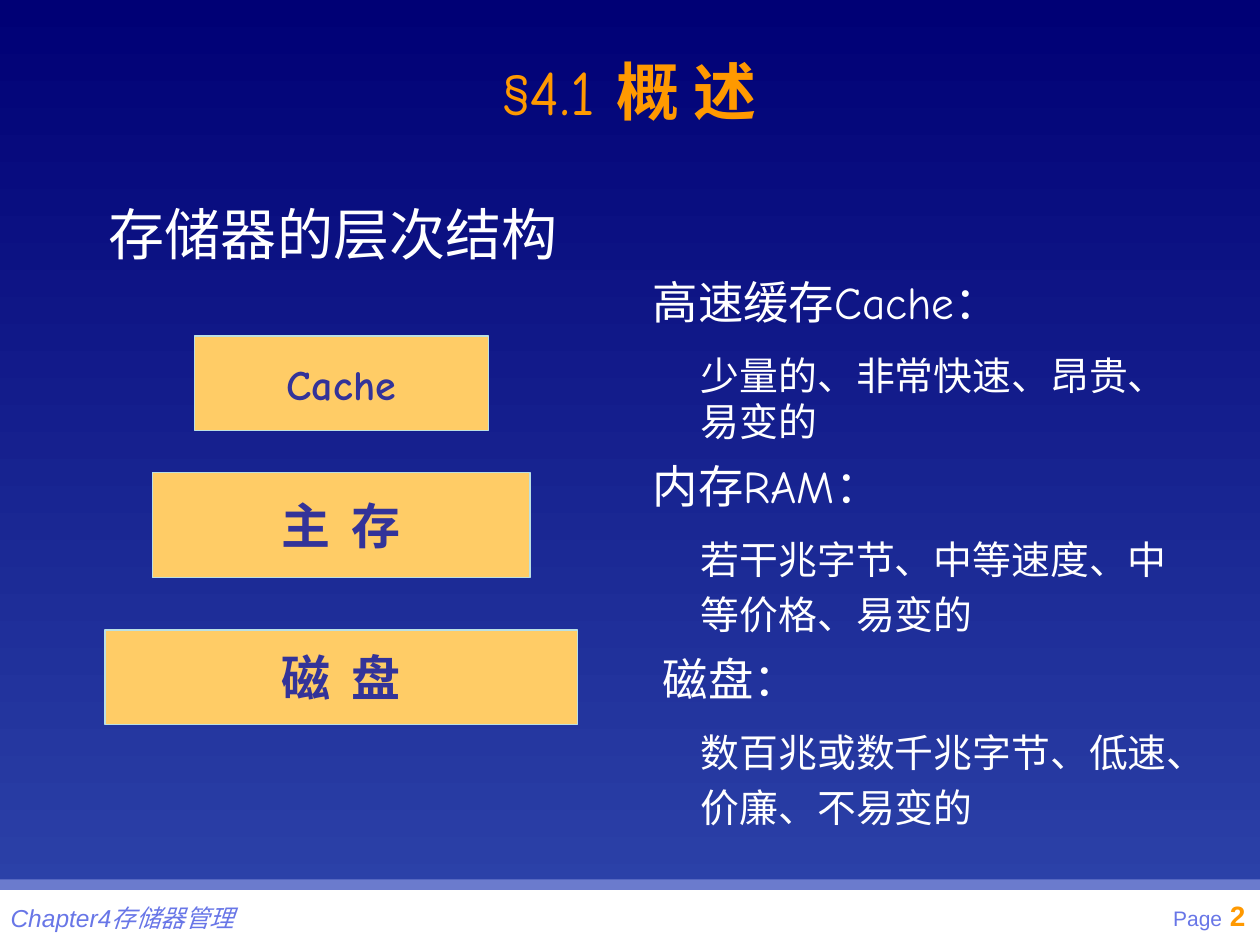
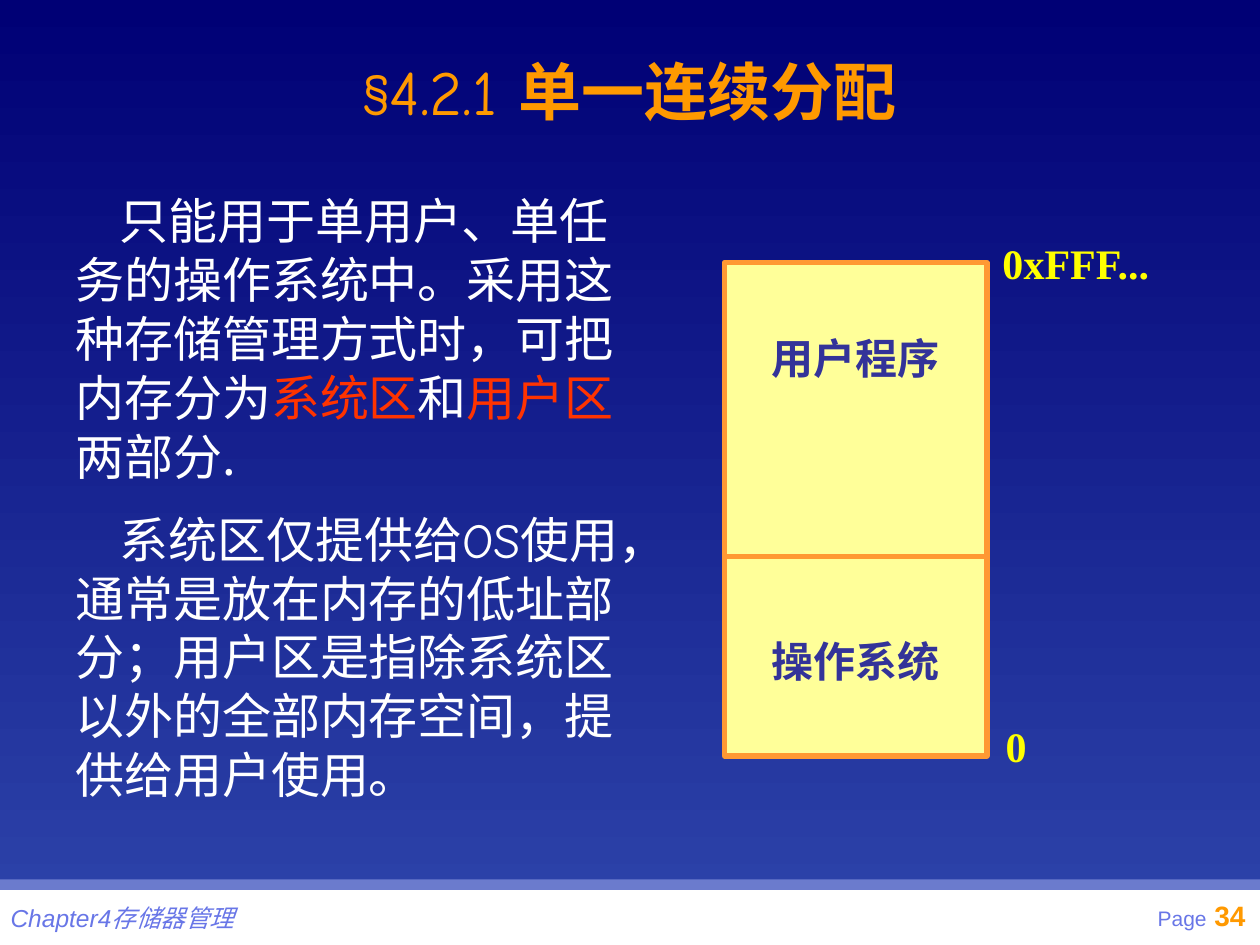
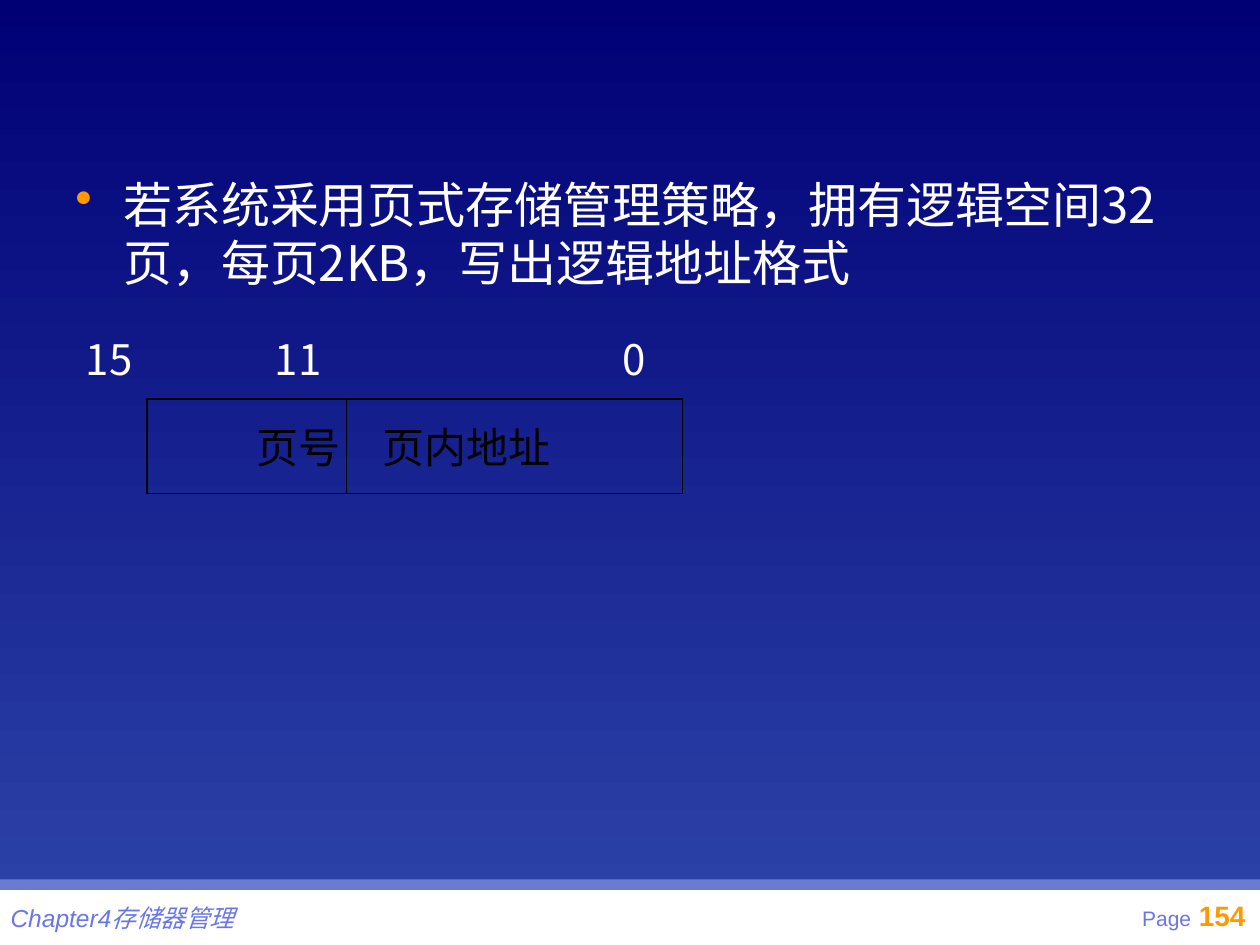
from collections import namedtuple
from dataclasses import dataclass

from pptx import Presentation
from pptx.dml.color import RGBColor
from pptx.enum.shapes import MSO_CONNECTOR as Connector, MSO_SHAPE as Preset
from pptx.enum.text import MSO_ANCHOR as Anchor, PP_ALIGN as Align
from pptx.oxml.ns import qn
from pptx.util import Inches, Pt
from lxml.etree import SubElement, Element


@dataclass(frozen=True)
class Theme:
    # Colours
    sky_top: str = "000075"
    sky_bottom: str = "2E45AB"
    white: str = "FFFFFF"
    black: str = "000000"
    band: str = "6B7BCD"
    footer: str = "6876E7"
    footer_shadow: str = "808080"
    accent: str = "FF9900"
    warning: str = "FF3300"
    ink: str = "333399"
    level_fill: str = "FFCC66"
    level_line: str = "BBE0E3"
    memory_fill: str = "FFFF99"
    memory_line: str = "FF9933"
    address: str = "FFFF00"
    # Fonts
    cjk: str = "Noto Sans CJK SC"
    comic: str = "Comic Neue"
    sans: str = "Arial"
    serif: str = "Times New Roman"
    # Type sizes
    title: float = 36
    heading: float = 32
    body: float = 28
    term: float = 25.9
    detail: float = 22.2
    label: float = 24
    number: float = 16
    chapter: float = 14
    page: float = 12


THEME = Theme()
CELL = 1 / 12          # the 10 x 7.5 inch slide is a grid of 120 columns by 90 rows
LEADING = 1.2          # line height as a multiple of the type size
HANG = 0.38            # bullet and detail indent, inches


class Box(namedtuple("Box", "col row cols rows")):
    def area(self, col, row, cols, rows):
        """A box placed in grid cells from this box's corner."""
        return Box(self.col + col, self.row + row, cols, rows)

    def lengths(self):
        return [Inches(value * CELL) for value in self]


PAGE = Box(0, 0, 120, 90)


def rgb(color):
    return RGBColor.from_string(color)


# ---- Text ----

def add_span(para, text, size, color, font, bold=False, italic=False,
             spacing=0, shadow=None):
    span = para.add_run()
    span.text = text
    span.font.size = Pt(size)
    span.font.bold, span.font.italic = bold, italic
    span.font.color.rgb = rgb(color)
    span.font.name = font
    props = span.font._element
    SubElement(props, qn("a:ea"), typeface=THEME.cjk)
    if spacing:
        props.set("spc", str(spacing * 100))
    if shadow:
        effects = Element(qn("a:effectLst"))
        drop = SubElement(effects, qn("a:outerShdw"), dist="17960", dir="2700000")
        SubElement(drop, qn("a:srgbClr"), val=shadow)
        props.find(qn("a:solidFill")).addnext(effects)


def write(shape, spans, align=Align.LEFT, left=0, first=0, before=0, after=0,
          leading=None, bullet=None, tab=None, **style):
    """Add a paragraph; spans is a text or a list of (text, format changes)."""
    frame = shape.text_frame
    para = frame.add_paragraph() if frame.text else frame.paragraphs[0]
    props = para._p.get_or_add_pPr()
    props.set("marL", str(Inches(left)))
    props.set("indent", str(Inches(first)))
    if bullet:
        color = SubElement(props, qn("a:buClr"))
        SubElement(color, qn("a:srgbClr"), val=THEME.accent)
        SubElement(props, qn("a:buChar"), char=bullet)
    if tab:
        stops = SubElement(props, qn("a:tabLst"))
        SubElement(stops, qn("a:tab"), pos=str(Inches(tab)), algn="l")
    para.alignment = align
    para.space_before, para.space_after = Pt(before), Pt(after)
    if leading:
        para.line_spacing = leading
    style = {"size": THEME.label, "color": THEME.white, "font": THEME.cjk} | style
    for text, changes in [(spans, {})] if isinstance(spans, str) else spans:
        add_span(para, text, **(style | changes))


def lines(size, share=1):
    return Pt(round(size * LEADING * share, 1))


def add_text(page, box, inset=True, anchor=Anchor.TOP):
    shape = page.shapes.add_textbox(*box.lengths())
    frame = shape.text_frame
    frame.word_wrap = True
    frame.vertical_anchor = anchor
    if not inset:
        frame.margin_left = frame.margin_right = 0
        frame.margin_top = frame.margin_bottom = 0
    return shape


# ---- Shapes ----

def add_rect(page, box, fill=None, line=None, weight=0.75):
    shape = page.shapes.add_shape(Preset.RECTANGLE, *box.lengths())
    shape.shadow.inherit = False
    if fill:
        shape.fill.solid()
        shape.fill.fore_color.rgb = rgb(fill)
    else:
        shape.fill.background()
    if line:
        shape.line.color.rgb = rgb(line)
        shape.line.width = Pt(weight)
    else:
        shape.line.fill.background()
    shape.text_frame.vertical_anchor = Anchor.MIDDLE
    return shape


def add_line(page, box, color, weight):
    left, top, width, height = box.lengths()
    line = page.shapes.add_connector(Connector.STRAIGHT, left, top,
                                     left + width, top + height)
    line.line.color.rgb = rgb(color)
    line.line.width = Pt(weight)
    SubElement(line._element.spPr, qn("a:effectLst"))


# ---- Shared regions of every slide ----

def paint_background(deck):
    fill = deck.slide_master.background.fill
    fill.gradient()
    fill.gradient_angle = 270
    for stop, color in zip(fill.gradient_stops, (THEME.sky_top, THEME.sky_bottom)):
        stop.color.rgb = rgb(color)


def add_footer(page, box, number):
    add_rect(page, box.area(0, 0.75, box.cols, box.rows - 0.75), THEME.white)
    add_rect(page, box.area(0, 0, box.cols, 1), THEME.band)
    accent = {"size": THEME.number, "color": THEME.accent}
    write(add_text(page, box.area(75.8, 1.25, 44, 4.75)),
          [("Page", {}), (" ", accent), (str(number), accent | {"bold": True})],
          align=Align.RIGHT, size=THEME.page, color=THEME.footer, font=THEME.sans)
    write(add_text(page, box.area(1, 2.25, 26, 2.75), inset=False),
          "Chapter4存储器管理", leading=lines(THEME.chapter), size=THEME.chapter,
          color=THEME.footer, font=THEME.sans, italic=True,
          shadow=THEME.footer_shadow)


def add_title(page, section, name):
    shape = add_text(page, PAGE.area(6, 3, 108, 12.4), anchor=Anchor.MIDDLE)
    write(shape, [(section + " ", {"font": THEME.comic}), (name, {"bold": True})],
          align=Align.CENTER, leading=0.85, size=THEME.title, color=THEME.accent)


def start_page(deck, number):
    page = deck.slides.add_slide(deck.slide_layouts[6])
    add_footer(page, PAGE.area(0, 83.75, 120, 6.25), number)
    return page


# ---- Storage hierarchy ----

def add_levels(page, box):
    levels = [  # name, width, top, height, format
        ("Cache", 28, 0, 9, {"font": THEME.comic, "size": THEME.label}),
        ("主 存", 36, 13, 10, {"spacing": 3}),
        ("磁 盘", 45, 28, 9, {"spacing": 3}),
    ]
    for name, width, top, height, style in levels:
        level = box.area((box.cols - width) / 2, top, width, height)
        shape = add_rect(page, level, THEME.level_fill, THEME.level_line)
        write(shape, name, align=Align.CENTER, bold=True,
              **({"size": THEME.body, "color": THEME.ink} | style))


def add_descriptions(page, box):
    shape = add_text(page, box)
    comic = {"font": THEME.comic}
    entries = [  # term, its indent, detail, size that sets the detail's leading
        ([("高速缓存", {}), ("Cache", comic), ("：", {})], 0,
         "少量的、非常快速、昂贵、易变的", THEME.detail),
        ([("内存", {}), ("RAM", comic), ("：", {})], 0,
         "若干兆字节、中等速度、中等价格、易变的", THEME.term),
        ("磁盘：", 0.08, "数百兆或数千兆字节、低速、价廉、不易变的", THEME.term),
    ]
    for term, left, detail, spread in entries:
        write(shape, term, left=left, after=8.8, leading=lines(THEME.term),
              size=THEME.term)
        write(shape, detail, left=HANG, after=8, leading=lines(spread),
              before=(THEME.term - spread) * LEADING, size=THEME.detail)


def build_hierarchy(deck):
    page = start_page(deck, 2)
    add_title(page, "§4.1", "概 述")
    add_descriptions(page, PAGE.area(61, 25.5, 53, 58))
    add_levels(page, PAGE.area(10, 32, 45, 37))
    write(add_text(page, PAGE.area(8, 19, 50, 10)), "存储器的层次结构", left=0.1,
          leading=lines(THEME.heading, 0.9), size=THEME.heading)


# ---- Single contiguous allocation ----

def add_explanation(page, box):
    shape = add_text(page, box)
    marked = {"color": THEME.warning}
    paragraphs = [
        [("只能用于单用户、单任务的操作系统中。采用这种存储管理方式时，可把内存分为", {}),
         ("系统区", marked), ("和", {}), ("用户区", marked), ("两部分.", {})],
        [("系统区仅提供给", {}), ("OS", {"font": THEME.comic}),
         ("使用，通常是放在内存的低址部分；用户区是指除系统区以外的全部内存空间，"
          "提供给用户使用。", {})],
    ]
    for spans in paragraphs:
        write(shape, spans, first=0.35, after=14, leading=lines(THEME.body),
              size=THEME.body)


def add_memory_map(page, box):
    block = box.area(0, 3, 25, 47)
    shape = add_rect(page, block, THEME.memory_fill, THEME.memory_line, 3)
    gap = 5 * THEME.label * LEADING
    for name, before in (("用户程序", 0), ("操作系统", gap)):
        write(shape, name, align=Align.CENTER, before=before,
              leading=lines(THEME.label), color=THEME.ink, font=THEME.serif, bold=True)
    add_line(page, block.area(0, 28, block.cols, 0), THEME.memory_line, 3)
    for address, col, row in (("0xFFF...", 25.3, 0), ("0", 25.6, 46)):
        write(add_text(page, box.area(col, row, 18, 6)), address,
              color=THEME.address, font=THEME.serif, bold=True)


def build_allocation(deck):
    page = start_page(deck, 34)
    add_title(page, "§4.2.1", "单一连续分配")
    add_explanation(page, PAGE.area(6, 17.6, 56, 64.4))
    add_memory_map(page, PAGE.area(69, 22, 44, 52))


# ---- Logical address format ----

def add_address_format(page, box):
    field = box.area(7, 6.35, 51, 9)
    shape = add_rect(page, field, line=THEME.black)
    shape.text_frame.margin_left = Inches(0.87)
    write(shape, "页号\t页内地址", tab=1.26, color=THEME.black)
    add_line(page, field.area(19, 0, 0, field.rows), THEME.black, 0.75)
    for bit, col in (("15", 0), ("11", 18), ("0", 51.1)):
        write(add_text(page, box.area(col, 0, 14, 5.5)), bit,
              leading=lines(THEME.label, 0.9))


def build_exercise(deck):
    page = start_page(deck, 154)
    write(add_text(page, PAGE.area(6, 16, 108, 15)),
          "若系统采用页式存储管理策略，拥有逻辑空间32页，每页2KB，写出逻辑地址格式",
          left=HANG, first=-HANG, bullet="•", leading=lines(THEME.body),
          size=THEME.body)
    add_address_format(page, PAGE.area(7, 31.65, 66, 16))


def main():
    deck = Presentation()
    deck.slide_width, deck.slide_height = Inches(10), Inches(7.5)
    paint_background(deck)
    build_hierarchy(deck)
    build_allocation(deck)
    build_exercise(deck)
    deck.save("out.pptx")


if __name__ == "__main__":
    main()
